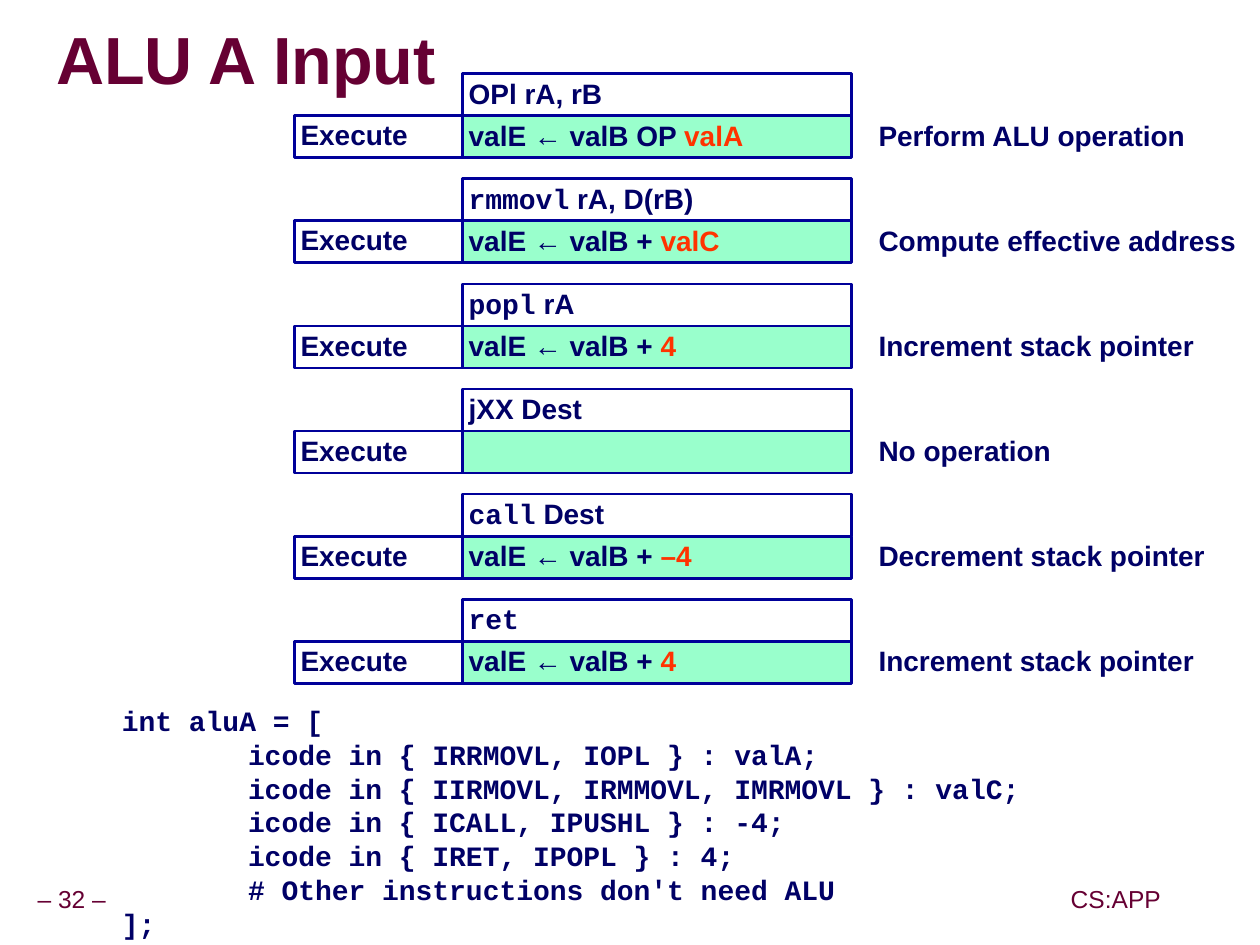
from lxml import etree
from pptx import Presentation
from pptx.dml.color import RGBColor
from pptx.enum.shapes import MSO_SHAPE
from pptx.enum.text import MSO_ANCHOR as Anchor, MSO_AUTO_SIZE as AutoSize, PP_ALIGN as Align
from pptx.oxml.ns import qn
from pptx.util import Pt

COLOURS = {"plum": "660033", "navy": "000066", "border": "000099",
           "mint": "99FFCC", "red": "FF3300", "shadow": "969696"}
SANS, MONO = "Arial", "Courier New"

# Each instruction: mnemonic and its font, operands, expression, ALU A input, purpose
INSTRUCTIONS = [
    ("OPl", SANS, " rA, rB", "valE ← valB OP ", "valA", "Perform ALU operation"),
    ("rmmovl", MONO, " rA, D(rB)", "valE ← valB + ", "valC", "Compute effective address"),
    ("popl", MONO, " rA", "valE ← valB + ", "4", "Increment stack pointer"),
    ("jXX", SANS, " Dest", "", "", "No operation"),
    ("call", MONO, " Dest", "valE ← valB + ", "–4", "Decrement stack pointer"),
    ("ret", MONO, "", "valE ← valB + ", "4", "Increment stack pointer"),
]
CODE_START, CODE_END = "int aluA = [", "];"
CODE_BODY = [
    "icode in { IRRMOVL, IOPL } : valA;",
    "icode in { IIRMOVL, IRMMOVL, IMRMOVL } : valC;",
    "icode in { ICALL, IPUSHL } : -4;",
    "icode in { IRET, IPOPL } : 4;",
    "# Other instructions don't need ALU",
]


def colour(name):
    return RGBColor.from_string(COLOURS[name])


def set_frame(shape, anchor=Anchor.TOP, inset=3.6):
    frame = shape.text_frame
    settings = {"word_wrap": True, "auto_size": AutoSize.NONE, "vertical_anchor": anchor}
    settings.update({f"margin_{side}": Pt(inset) for side in ("left", "top", "right", "bottom")})
    for name, value in settings.items():
        setattr(frame, name, value)
    return frame


def write(paragraph, runs, size=16, bold=True, spacing=0.9, align=Align.LEFT):
    """Fill a paragraph with (text, font, colour) runs."""
    paragraph.alignment = align
    paragraph.line_spacing = spacing
    for text, font, tint in runs:
        if not text:
            continue
        run = paragraph.add_run()
        run.text = text
        for name, value in {"name": font, "size": Pt(size), "bold": bold}.items():
            setattr(run.font, name, value)
        run.font.color.rgb = colour(tint)


def add_label(slide, box, runs, anchor=Anchor.TOP, **style):
    label = slide.shapes.add_textbox(*map(Pt, box))
    write(set_frame(label, anchor).paragraphs[0], runs, **style)


def add_cell(slide, box, runs, fill=None, anchor=Anchor.TOP):
    cell = slide.shapes.add_shape(MSO_SHAPE.RECTANGLE, *map(Pt, box))
    cell.shadow.inherit = False
    if fill:
        cell.fill.solid()
        cell.fill.fore_color.rgb = colour(fill)
    else:
        cell.fill.background()
    cell.line.color.rgb = colour("border")
    cell.line.width = Pt(1.5)
    write(set_frame(cell, anchor).paragraphs[0], runs)


def add_title(slide, box, text):
    title = slide.shapes.title
    title.left, title.top, title.width, title.height = map(Pt, box)
    paragraph = set_frame(title, Anchor.MIDDLE, inset=0).paragraphs[0]
    write(paragraph, [(text, SANS, "plum")], size=38, spacing=0.87)
    # Drop shadow behind the letters, placed after the text fill
    effects = etree.Element(qn("a:effectLst"))
    shadow = etree.SubElement(effects, qn("a:outerShdw"), dist=str(Pt(3)), dir="2700000")
    etree.SubElement(shadow, qn("a:srgbClr"), val=COLOURS["shadow"])
    properties = paragraph.runs[0].font._element
    properties.find(qn("a:solidFill")).addnext(effects)


def add_instruction(slide, box, instruction):
    left, top, width, row = box
    mnemonic, font, operands, expression, source, purpose = instruction
    stage_width, cell_width, gap = 96, 222, 12
    cell_left = left + stage_width
    purpose_left = cell_left + cell_width + gap
    lower = top + row
    add_cell(slide, (cell_left, top, cell_width, row),
             [(mnemonic, font, "navy"), (operands, SANS, "navy")])
    add_cell(slide, (left, lower, stage_width, row),
             [("Execute", SANS, "navy")], anchor=Anchor.MIDDLE)
    add_cell(slide, (cell_left, lower, cell_width, row),
             [(expression, SANS, "navy"), (source, SANS, "red")], fill="mint")
    add_label(slide, (purpose_left, lower, left + width - purpose_left, row),
              [(purpose, SANS, "navy")])


def add_code(slide, box):
    frame = set_frame(slide.shapes.add_textbox(*map(Pt, box)))
    for index, line in enumerate([CODE_START, *CODE_BODY, CODE_END]):
        paragraph = frame.add_paragraph() if index else frame.paragraphs[0]
        if line in CODE_BODY:
            paragraph._p.get_or_add_pPr().set("marL", str(Pt(72)))
        write(paragraph, [(line, MONO, "navy")], spacing=Pt(19.25))


def add_footer(slide, top):
    for left, width, text in ((5, 72, "– 32 –"), (601, 72, "CS:APP")):
        add_label(slide, (left, top, width, 22), [(text, SANS, "plum")],
                  anchor=Anchor.MIDDLE, size=14, bold=False, align=Align.CENTER)


def main():
    presentation = Presentation()
    presentation.slide_width, presentation.slide_height = Pt(719.28), Pt(539.28)
    slide = presentation.slides.add_slide(presentation.slide_layouts[5])
    add_footer(slide, 503)
    add_title(slide, (32, 6, 685, 61), "ALU A Input")
    for index, instruction in enumerate(INSTRUCTIONS):
        add_instruction(slide, (168, 42 + 60 * index, 551, 24), instruction)
    add_code(slide, (66, 398, 630, 141))
    presentation.save("out.pptx")


if __name__ == "__main__":
    main()
